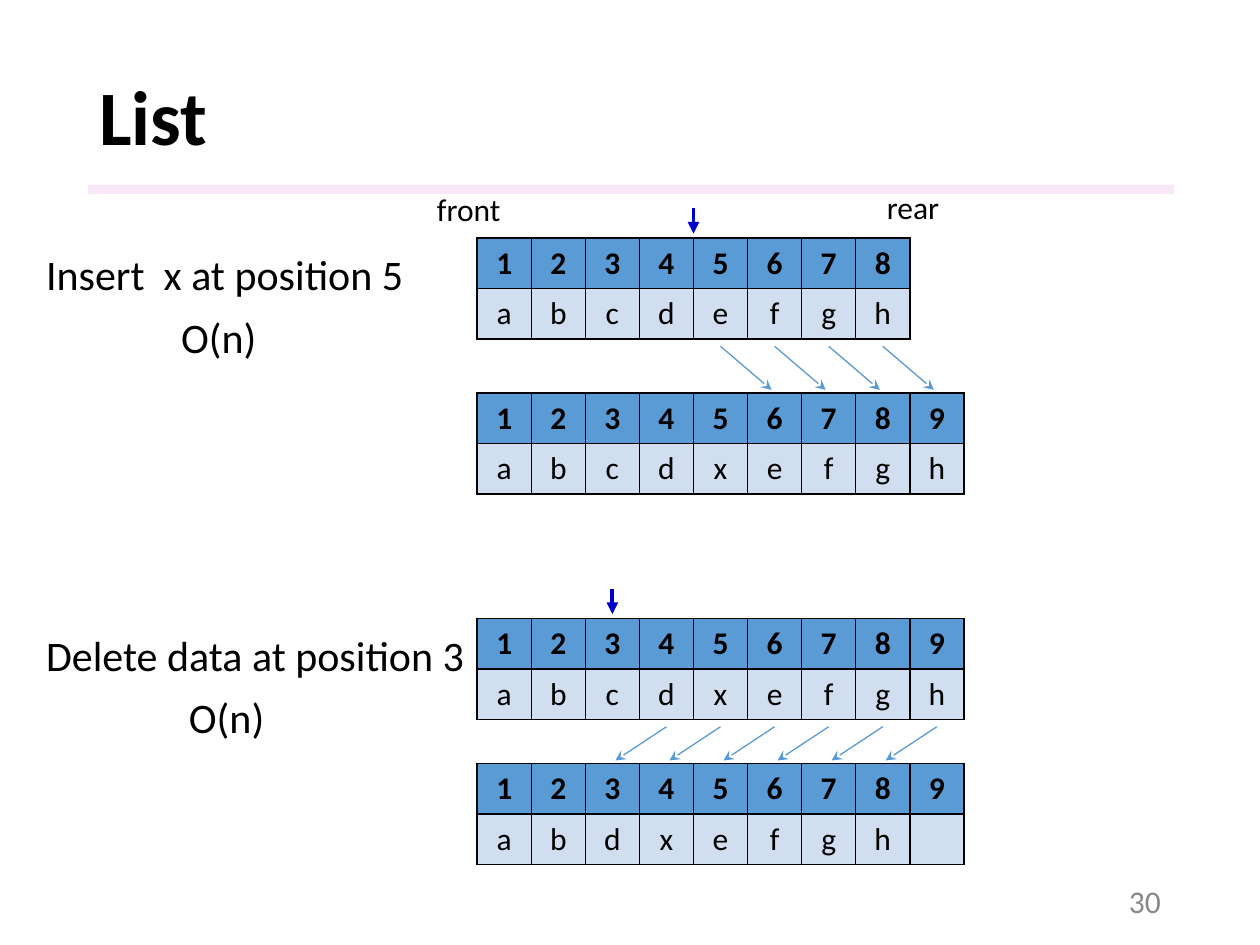
import lxml.etree
import pptx
import pptx.dml.color
import pptx.enum.shapes
import pptx.enum.text
import pptx.oxml.ns
import pptx.util

Cm = pptx.util.Cm
Pt = pptx.util.Pt
RGB = pptx.dml.color.RGBColor
ALIGN = pptx.enum.text.PP_ALIGN
ANCHOR = pptx.enum.text.MSO_ANCHOR
FIT = pptx.enum.text.MSO_AUTO_SIZE
SHAPE = pptx.enum.shapes.MSO_SHAPE
LINE = pptx.enum.shapes.MSO_CONNECTOR

BLACK = RGB(0x00, 0x00, 0x00)
GREY = RGB(0x88, 0x88, 0x88)
PINK = RGB(0xF3, 0xD2, 0xF4)
BLUE = RGB(0x5B, 0x9B, 0xD5)
PALE = RGB(0xD0, 0xDE, 0xEF)
NAVY = RGB(0x00, 0x00, 0xCC)

COL = 1.09
ROW = 0.84


def apply(thing, values):
    """Set each named value on the thing."""
    for name, value in values.items():
        setattr(thing, name, value)


def add_node(parent, tag, **values):
    """Append a drawing element and return it."""
    return lxml.etree.SubElement(parent, pptx.oxml.ns.qn(tag), values)


def write(frame, text, size, color=BLACK, bold=False, **layout):
    """Put one formatted paragraph in a text frame."""
    frame.text = text
    para = frame.paragraphs[0]
    apply(para, layout)
    apply(para.font, {"name": "Calibri", "size": Pt(size), "bold": bold})
    para.font.color.rgb = color


def label(slide, box, text, size):
    """Add a box that hugs one line of text."""
    frame = slide.shapes.add_textbox(*map(Cm, box)).text_frame
    apply(frame, {"word_wrap": False, "auto_size": FIT.SHAPE_TO_FIT_TEXT})
    write(frame, text, size)


def arrow(slide, ends, color, width, head):
    """Draw a straight arrow through ends given as x, y, x, y."""
    link = slide.shapes.add_connector(LINE.STRAIGHT, *map(Cm, ends))
    link.line.width = Pt(width)
    link.line.color.rgb = color
    add_node(link.line._get_or_add_ln(), "a:tailEnd", type=head)
    add_node(link._element.spPr, "a:effectLst")


def border(cell):
    """Give a cell thin black edges."""
    props = cell._tc.get_or_add_tcPr()
    for side in "LRTB":
        edge = add_node(props, f"a:ln{side}", w=str(Pt(1)))
        add_node(add_node(edge, "a:solidFill"), "a:srgbClr", val=str(BLACK))


def array(slide, left, top, items):
    """Draw numbered places above the items they hold."""
    count = len(items)
    table = slide.shapes.add_table(
        2, count, Cm(left), Cm(top), Cm(count * COL), Cm(2 * ROW)).table
    for col in table.columns:
        col.width = Cm(COL)
    places = [str(num + 1) for num in range(count)]
    for row, (texts, fill) in enumerate([(places, BLUE), (items, PALE)]):
        for col, text in enumerate(texts):
            cell = table.cell(row, col)
            border(cell)
            cell.fill.solid()
            cell.fill.fore_color.rgb = fill
            write(cell.text_frame, text, 18, bold=row == 0,
                  alignment=ALIGN.CENTER)


def header(slide, left, top, width, height):
    """Place the title and the band beneath it."""
    title = slide.shapes.title
    apply(title, {"left": Cm(left), "top": Cm(top),
                  "width": Cm(width), "height": Cm(height)})
    title.text_frame.vertical_anchor = ANCHOR.MIDDLE
    write(title.text_frame, "List", 44, bold=True,
          alignment=ALIGN.LEFT, line_spacing=0.9)
    band = slide.shapes.add_shape(
        SHAPE.RECTANGLE, Cm(left + 0.03), Cm(top + 2.71), Cm(width), Cm(0.18))
    band.shadow.inherit = False
    band.line.fill.background()
    band.fill.solid()
    band.fill.fore_color.rgb = PINK
    tint = band.fill._xPr.find(".//" + pptx.oxml.ns.qn("a:srgbClr"))
    add_node(tint, "a:alpha", val="50000")


def panel(slide, left, top, task, width, inset, old, new, gap, mark, moved, step):
    """Show a list before and after a change, with the items that move."""
    label(slide, (left, top + 0.09, width, 1.27), task, 24)
    label(slide, (left + inset, top + 1.35, 2.06, 1.27), "O(n)", 24)
    grid = left + 8.94
    array(slide, grid, top, old)
    array(slide, grid, top + gap, new)
    tip = grid + mark * COL
    arrow(slide, (tip, top - 0.6, tip, top - 0.09), NAVY, 2.25, "triangle")
    for place in range(moved, len(old) + 1):
        start = grid + (place - 0.5) * COL
        arrow(slide, (start, top + 2.18, start + step * 1.03, top + gap - 0.06),
              BLUE, 0.75, "stealth")


def ends(slide, left, top):
    """Name the front and rear of the first list."""
    label(slide, (left, top, 1.8, 1.02), "front", 18)
    label(slide, (left + 9.07, top - 0.05, 1.57, 1.02), "rear", 18)


def footer(slide, left, top, width, height):
    """Place the page number."""
    frame = slide.shapes.add_textbox(*map(Cm, (left, top, width, height))).text_frame
    apply(frame, {"word_wrap": True, "vertical_anchor": ANCHOR.MIDDLE})
    write(frame, "30", 18, GREY, alignment=ALIGN.RIGHT)


def main():
    """Build and save the slide."""
    deck = pptx.Presentation()
    apply(deck, {"slide_width": Cm(25.4), "slide_height": Cm(19.05)})
    slide = deck.slides.add_slide(deck.slide_layouts[5])
    header(slide, 1.75, 1.02, 21.89, 2.82)
    panel(slide, 0.68, 4.8, "Insert  x at position 5", 7.77, 2.72,
          "abcdefgh", "abcdxefgh", gap=3.12, mark=4, moved=5, step=1)
    panel(slide, 0.68, 12.47, "Delete data at position 3", 9.02, 2.88,
          "abcdxefgh", [*"abdxefgh", ""], gap=2.92, mark=2.5, moved=4, step=-1)
    ends(slide, 8.56, 3.71)
    footer(slide, 17.93, 17.65, 5.72, 1.02)
    deck.save("out.pptx")


if __name__ == "__main__":
    main()
